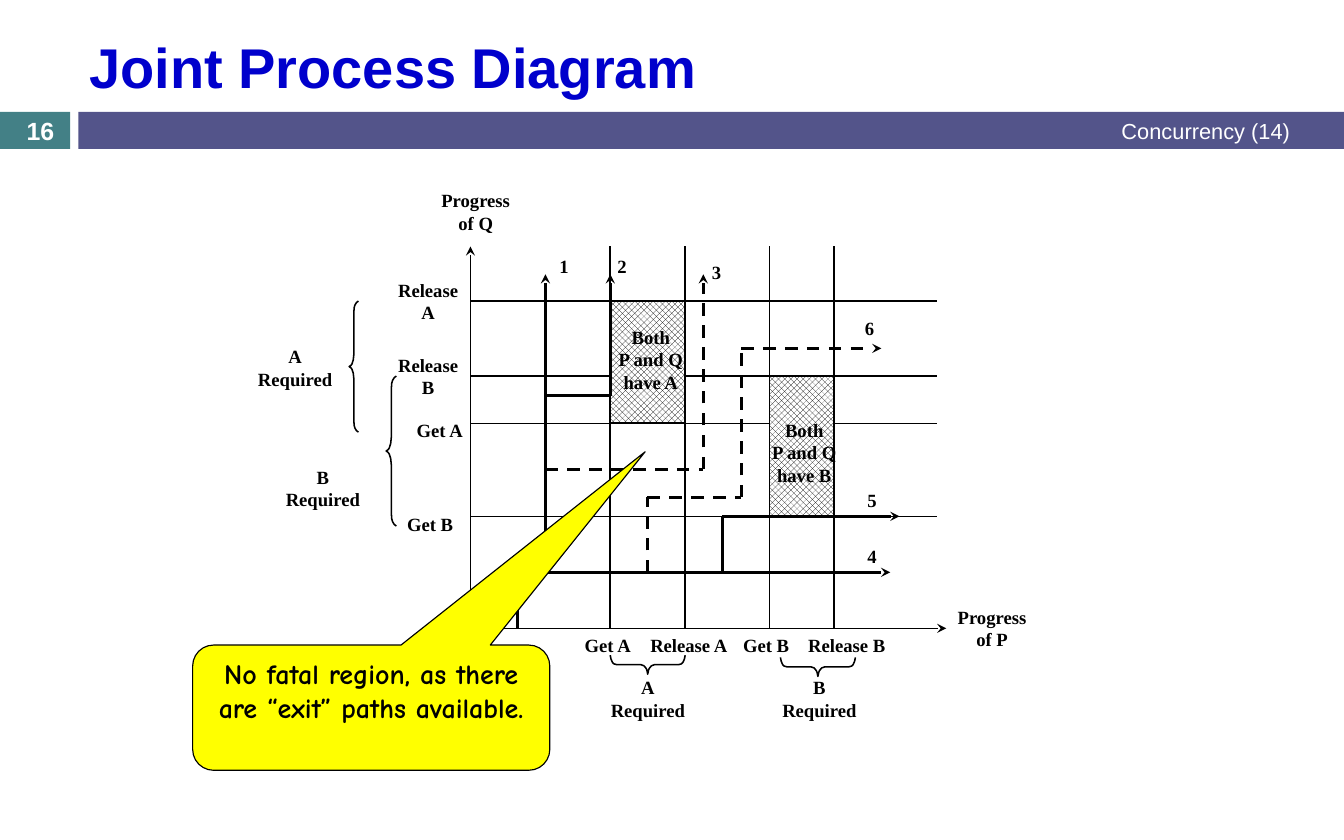
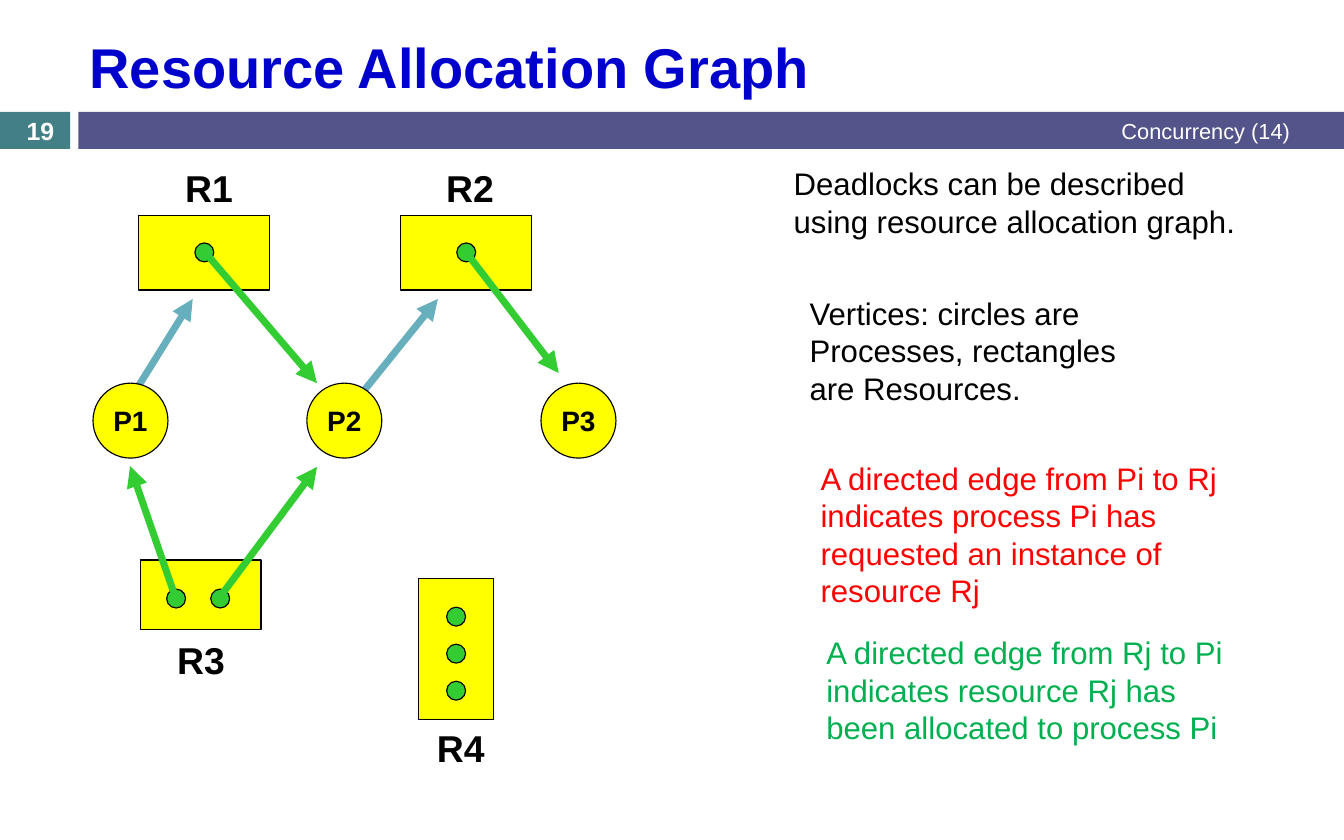
from dataclasses import dataclass
from itertools import pairwise

from pptx import Presentation
from pptx.dml.color import RGBColor
from pptx.enum.dml import MSO_LINE, MSO_PATTERN
from pptx.enum.shapes import MSO_CONNECTOR, MSO_SHAPE
from pptx.enum.text import MSO_ANCHOR, PP_ALIGN
from pptx.oxml.ns import qn
from pptx.util import Cm, Pt
from lxml import etree

RECTANGLE, OVAL = MSO_SHAPE.RECTANGLE, MSO_SHAPE.OVAL
CALLOUT = MSO_SHAPE.ROUNDED_RECTANGULAR_CALLOUT
STRAIGHT = MSO_CONNECTOR.STRAIGHT
HATCH, DASH = MSO_PATTERN.OUTLINED_DIAMOND, MSO_LINE.DASH
LEFT, CENTER, RIGHT = PP_ALIGN.LEFT, PP_ALIGN.CENTER, PP_ALIGN.RIGHT
TOP, MIDDLE = MSO_ANCHOR.TOP, MSO_ANCHOR.MIDDLE

COLORS = {
    "title": "0000CC", "teal": "438086", "band": "53548A",
    "white": "FFFFFF", "black": "000000", "yellow": "FFFF00",
    "allocation": "33CC33", "request": "67AFBD",
    "red": "FF0000", "green": "00B050",
}


# All positions and sizes below are in centimetres
@dataclass(frozen=True)
class Box:
    left: float
    top: float
    width: float
    height: float

    def lengths(self) -> tuple:
        return Cm(self.left), Cm(self.top), Cm(self.width), Cm(self.height)


@dataclass(frozen=True)
class Style:
    size: float
    color: str = "black"
    bold: bool = True
    align: int = CENTER
    anchor: int = TOP
    font: str = "Arial"
    wrap: bool = True


@dataclass(frozen=True)
class Label:
    text: str
    left: float
    top: float
    width: float


@dataclass(frozen=True)
class Route:
    points: tuple
    number: Label
    dashed: bool = False


@dataclass(frozen=True)
class Resource:
    box: Box
    name: str
    name_left: float
    name_top: float
    instances: tuple


@dataclass(frozen=True)
class Note:
    text: str
    box: Box
    color: str = "black"


TITLE = Style(36, "title", align=LEFT, anchor=MIDDLE)
FOOTER = Style(14, "white", bold=False, align=RIGHT, anchor=MIDDLE)
NUMBER = Style(16, "white", anchor=MIDDLE)
DIAGRAM = Style(12, font="Times New Roman", wrap=False)
SPEECH = Style(18, font="Comic Neue")
PROCESS = Style(18, anchor=MIDDLE, wrap=False)
RESOURCE = Style(24, anchor=MIDDLE, wrap=False)


def color_of(name: str) -> RGBColor:
    return RGBColor.from_string(COLORS[name])


# Drawing helpers
def write(shape, text: str, style: Style) -> None:
    frame = shape.text_frame
    frame.word_wrap = style.wrap
    frame.vertical_anchor = style.anchor
    for index, line in enumerate(text.split("\n")):
        paragraph = frame.add_paragraph() if index else frame.paragraphs[0]
        paragraph.alignment = style.align
        run = paragraph.add_run()
        run.text = line
        run.font.name = style.font
        run.font.size = Pt(style.size)
        run.font.bold = style.bold
        run.font.color.rgb = color_of(style.color)


def add_text(slide, text: str, box: Box, style: Style) -> None:
    write(slide.shapes.add_textbox(*box.lengths()), text, style)


def add_label(slide, label: Label) -> None:
    height = 0.28 + 0.51 * (label.text.count("\n") + 1)
    add_text(slide, label.text, Box(label.left, label.top, label.width, height), DIAGRAM)


def outline(shape, width: float) -> None:
    shape.shadow.inherit = False
    shape.line.color.rgb = color_of("black")
    shape.line.width = Pt(width)


def add_filled(slide, kind: int, box: Box, fill: str, line_width: float = 0.75):
    shape = slide.shapes.add_shape(kind, *box.lengths())
    outline(shape, line_width)
    shape.fill.solid()
    shape.fill.fore_color.rgb = color_of(fill)
    if not line_width:
        shape.line.fill.background()
    return shape


def add_line(slide, start: tuple, end: tuple, width: float = 1, color: str = "black",
             head: str = "", dashed: bool = False) -> None:
    ends = [Cm(value) for value in (*start, *end)]
    connector = slide.shapes.add_connector(STRAIGHT, *ends)
    connector.line.color.rgb = color_of(color)
    connector.line.width = Pt(width)
    if dashed:
        connector.line.dash_style = DASH
    properties = connector.element.spPr
    if head:
        etree.SubElement(properties.find(qn("a:ln")), qn("a:tailEnd"), type=head)
    etree.SubElement(properties, qn("a:effectLst"))


def add_route(slide, route: Route) -> None:
    for start, end in pairwise(route.points):
        head = "stealth" if end == route.points[-1] else ""
        add_line(slide, start, end, 2, head=head, dashed=route.dashed)
    add_label(slide, route.number)


# Half a brace as (share of length, share of depth); the rest mirrors it
HALF_BRACE = ((0, 0), (0.01, 0.2), (0.03, 0.38), (0.05, 0.46), (0.09, 0.5),
              (0.41, 0.5), (0.45, 0.56), (0.48, 0.7), (0.49, 0.8), (0.5, 1))
BRACE = HALF_BRACE + tuple((1 - along, depth) for along, depth in HALF_BRACE[-2::-1])


def add_brace(slide, box: Box) -> None:
    if box.height > box.width:
        points = [(box.left + box.width * (1 - depth), box.top + box.height * along)
                  for along, depth in BRACE]
    else:
        points = [(box.left + box.width * along, box.top + box.height * depth)
                  for along, depth in BRACE]
    points = [(Cm(x), Cm(y)) for x, y in points]
    builder = slide.shapes.build_freeform(*points[0])
    builder.add_line_segments(points[1:], close=False)
    brace = builder.convert_to_shape()
    outline(brace, 1)
    brace.fill.background()


def add_base_slide(presentation, title: str, number: str):
    slide = presentation.slides.add_slide(presentation.slide_layouts[6])
    add_filled(slide, RECTANGLE, Box(0, 2.54, 1.59, 0.84), "teal", 0)
    add_filled(slide, RECTANGLE, Box(1.78, 2.54, 28.7, 0.84), "band", 0)
    add_text(slide, title, Box(1.78, 0.48, 27.71, 2.03), TITLE)
    add_text(slide, "Concurrency (14)", Box(15.67, 2.54, 13.84, 0.84), FOOTER)
    add_text(slide, number, Box(0, 2.59, 1.83, 0.76), NUMBER)
    return slide


# Joint process diagram: progress of P runs right, progress of Q runs up
ORIGIN_X, ORIGIN_Y = 10.67, 14.25
GRID_RIGHT, GRID_TOP, AXIS_RIGHT = 21.26, 5.59, 21.46
P_GET_A, P_RELEASE_A, P_GET_B, P_RELEASE_B = 13.84, 15.54, 17.45, 18.92
Q_RELEASE_A, Q_RELEASE_B, Q_GET_A, Q_GET_B = 6.83, 8.53, 9.6, 11.71
FORK_X, FORK_Y, ROUTE_TOP = 12.37, 12.98, 6.22

LABELS = (
    Label("Progress\nof Q", 9.75, 4.17, 2.08),
    Label("Progress\nof P", 21.46, 13.61, 2.08),
    Label("Release\nA", 8.76, 6.2, 1.9),
    Label("Release\nB", 8.76, 7.9, 1.9),
    Label("Get A", 9.19, 9.37, 1.57),
    Label("Get B", 8.97, 11.51, 1.57),
    Label("Get A", 13, ORIGIN_Y, 1.57),
    Label("Release A", 14.48, ORIGIN_Y, 2.29),
    Label("Get B", 16.59, ORIGIN_Y, 1.57),
    Label("Release B", 18.06, ORIGIN_Y, 2.29),
    Label("A\nRequired", 5.59, 7.7, 2.21),
    Label("B\nRequired", 6.22, 10.44, 2.21),
    Label("A\nRequired", 13.59, 15.21, 2.21),
    Label("B\nRequired", 17.48, 15.21, 2.21),
)
BRACES = (Box(7.92, 6.83, 0.21, 2.97), Box(8.76, 8.53, 0.23, 3.4),
          Box(13.84, 14.86, 1.7, 0.43), Box(17.7, 14.91, 1.7, 0.43))
CONFLICTS = (
    (Box(P_GET_A, Q_RELEASE_A, P_RELEASE_A - P_GET_A, Q_GET_A - Q_RELEASE_A),
     Label("Both\nP and Q\nhave A", 13.77, 7.26, 1.98)),
    (Box(P_GET_B, Q_RELEASE_B, P_RELEASE_B - P_GET_B, Q_GET_B - Q_RELEASE_B),
     Label("Both\nP and Q\nhave B", 17.25, 9.37, 1.98)),
)
ROUTES = (
    Route(((11.73, ORIGIN_Y), (11.73, FORK_Y), (FORK_X, FORK_Y), (FORK_X, ROUTE_TOP)),
          Label("1", 12.42, 5.66, 0.74)),
    Route(((FORK_X, 8.97), (P_GET_A, 8.97), (P_GET_A, ROUTE_TOP)),
          Label("2", 13.74, 5.66, 0.74)),
    Route(((FORK_X, 10.64), (15.95, 10.64), (15.95, ROUTE_TOP)),
          Label("3", 15.88, 5.79, 0.74), dashed=True),
    Route(((FORK_X, FORK_Y), (20.19, FORK_Y)), Label("4", 19.41, 12.24, 0.74)),
    Route(((16.38, FORK_Y), (16.38, Q_GET_B), (20.4, Q_GET_B)),
          Label("5", 19.41, 10.97, 0.74)),
    Route(((14.68, FORK_Y), (14.68, 11.28), (16.81, 11.28), (16.81, 7.9), (19.99, 7.9)),
          Label("6", 19.35, 7.06, 0.74), dashed=True),
)


def build_joint_process(presentation) -> None:
    slide = add_base_slide(presentation, "Joint Process Diagram", "16")
    # Grid and axes
    for y in (Q_RELEASE_A, Q_RELEASE_B, Q_GET_A, Q_GET_B):
        add_line(slide, (ORIGIN_X, y), (GRID_RIGHT, y))
    for x in (P_GET_A, P_RELEASE_A, P_GET_B, P_RELEASE_B):
        add_line(slide, (x, ORIGIN_Y), (x, GRID_TOP))
    for end in ((ORIGIN_X, GRID_TOP), (AXIS_RIGHT, ORIGIN_Y)):
        add_line(slide, (ORIGIN_X, ORIGIN_Y), end, head="stealth")
    for label in LABELS:
        add_label(slide, label)
    for brace in BRACES:
        add_brace(slide, brace)
    # Regions where both processes hold the same resource
    for box, label in CONFLICTS:
        region = slide.shapes.add_shape(RECTANGLE, *box.lengths())
        outline(region, 1)
        region.fill.patterned()
        region.fill.pattern = HATCH
        region.fill.fore_color.rgb = color_of("black")
        region.fill.back_color.rgb = color_of("white")
        add_label(slide, label)
    for route in ROUTES:
        add_route(slide, route)
    # Callout
    callout = add_filled(slide, CALLOUT, Box(4.37, 14.63, 8.1, 2.84), "yellow")
    for index, value in enumerate((0.767, -2.044, 0.167)):
        callout.adjustments[index] = value
    write(callout, "No fatal region, as there are “exit” paths available.", SPEECH)


# Resource allocation graph
PROCESS_SIZE, PROCESS_TOP, DOT_SIZE = 1.7, 8.69, 0.43
PROCESSES = {"P1": 2.11, "P2": 6.96, "P3": 12.27}
RESOURCES = (
    Resource(Box(3.15, 4.88, 2.97, 1.7), "R1", 3.94, 3.61, ((4.42, 5.51),)),
    Resource(Box(9.09, 4.88, 2.97, 1.7), "R2", 9.86, 3.61, ((10.36, 5.51),)),
    Resource(Box(3.18, 12.7, 2.74, 1.57), "R3", 3.76, 14.33,
             ((3.78, 13.36), (4.78, 13.36))),
    Resource(Box(9.5, 13.13, 1.7, 3.18), "R4", 9.65, 16.31,
             tuple((10.13, 13.77 + 0.84 * row) for row in range(3))),
)
REQUESTS = (((3.12, 8.79), (4.37, 6.78)), ((8.23, 8.89), (9.93, 6.78)))
ALLOCATIONS = (((4.65, 5.72), (7.19, 8.69)), ((10.57, 5.72), (12.67, 8.46)),
               ((4.95, 13.59), (7.19, 10.59)), ((4.01, 13.64), (2.95, 10.57)))
NOTES = (
    Note("Deadlocks can be described using resource allocation graph.",
         Box(17.75, 3.61, 10.72, 1.96)),
    Note("Vertices: circles are Processes, rectangles are Resources.",
         Box(18.11, 6.55, 8.26, 2.82)),
    Note("A directed edge from Pi to Rj indicates process Pi has requested "
         "an instance of resource Rj", Box(18.36, 10.29, 9.63, 3.63), "red"),
    Note("A directed edge from Rj to Pi indicates resource Rj has been "
         "allocated to process Pi", Box(18.49, 14.25, 9.63, 2.82), "green"),
)


def build_allocation_graph(presentation) -> None:
    slide = add_base_slide(presentation, "Resource Allocation Graph", "19")
    for start, end in REQUESTS:
        add_line(slide, start, end, 4.5, "request", "triangle")
    # Vertices
    for name, left in PROCESSES.items():
        box = Box(left, PROCESS_TOP, PROCESS_SIZE, PROCESS_SIZE)
        write(add_filled(slide, OVAL, box, "yellow"), name, PROCESS)
    for resource in RESOURCES:
        add_filled(slide, RECTANGLE, resource.box, "yellow")
        name_box = Box(resource.name_left, resource.name_top, 1.6, 1.27)
        add_text(slide, resource.name, name_box, RESOURCE)
        for left, top in resource.instances:
            add_filled(slide, OVAL, Box(left, top, DOT_SIZE, DOT_SIZE), "allocation")
    for start, end in ALLOCATIONS:
        add_line(slide, start, end, 4.5, "allocation", "triangle")
    # Explanations
    for note in NOTES:
        add_text(slide, note.text, note.box, Style(20, note.color, bold=False, align=LEFT))


def main() -> None:
    presentation = Presentation()
    presentation.slide_width, presentation.slide_height = Cm(30.48), Cm(19.05)
    build_joint_process(presentation)
    build_allocation_graph(presentation)
    presentation.save("out.pptx")


if __name__ == "__main__":
    main()
